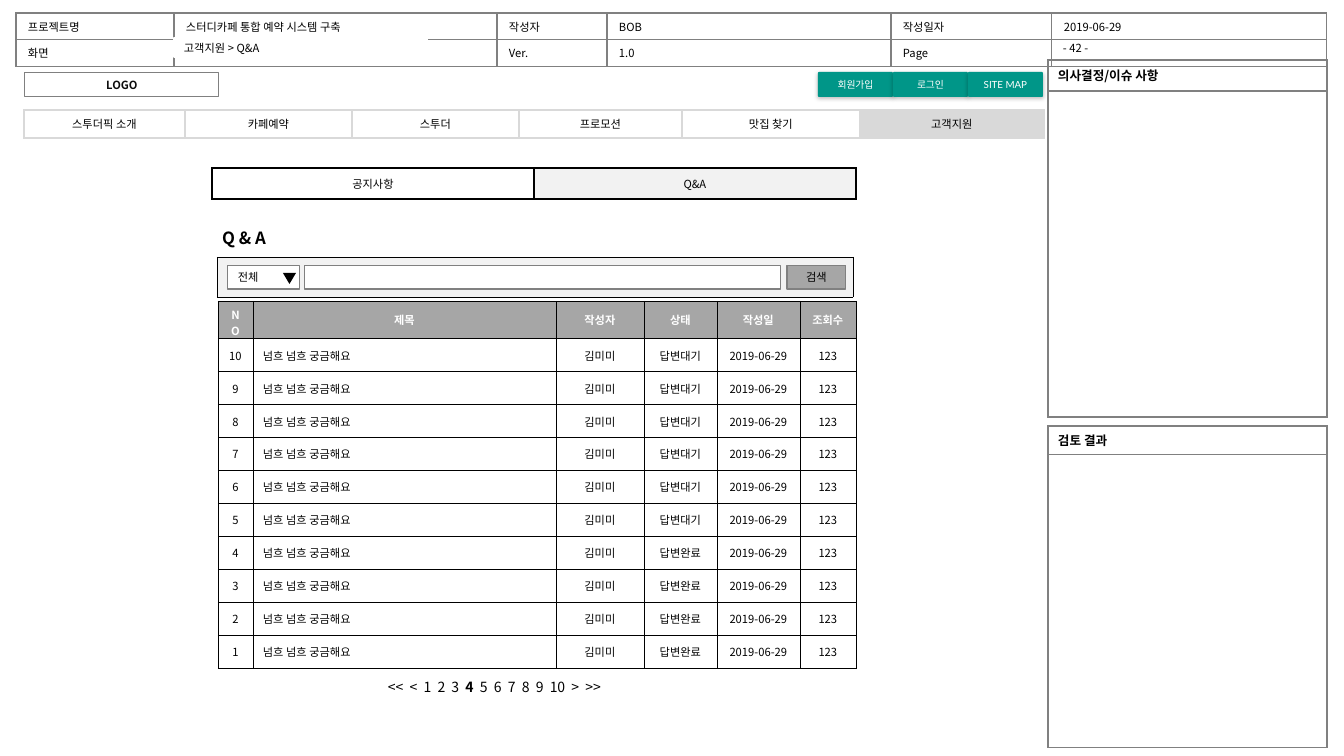
from lxml import etree
from pptx import Presentation
from pptx.dml.color import RGBColor
from pptx.enum.shapes import MSO_SHAPE
from pptx.enum.text import MSO_ANCHOR, MSO_AUTO_SIZE, PP_ALIGN
from pptx.oxml.ns import qn
from pptx.util import Pt

LEFT, CENTER = PP_ALIGN.LEFT, PP_ALIGN.CENTER
TOP, MIDDLE = MSO_ANCHOR.TOP, MSO_ANCHOR.MIDDLE
RECTANGLE, ROUNDED = MSO_SHAPE.RECTANGLE, MSO_SHAPE.ROUNDED_RECTANGLE
TRIANGLE = MSO_SHAPE.FLOWCHART_MERGE
PX = 914400 / 100.8
KOREAN, LATIN = "Noto Sans CJK KR", "Lato"
COLORS = {name: RGBColor.from_string(value) for name, value in {
    "black": "000000", "ink": "0D0D0D", "white": "FFFFFF", "border": "808080",
    "head": "A6A6A6", "active": "D9D9D9", "pale": "F2F2F2", "teal": "009688",
}.items()}


def format_paragraph(paragraph, size=8, color="black", bold=False, align=LEFT, font=KOREAN):
    paragraph.alignment = align
    paragraph.font.size = Pt(size)
    paragraph.font.bold = bold
    paragraph.font.color.rgb = COLORS[color]
    paragraph.font.name = font
    defaults = paragraph._p.pPr.find(qn("a:defRPr"))
    etree.SubElement(defaults, qn("a:ea"), typeface=font)
    if not paragraph.text:
        etree.SubElement(paragraph._p, qn("a:endParaRPr"), sz=str(size * 100))


def add_grid(left, top, widths, heights, rows, border, width, margin=10, anchor=MIDDLE):
    """Add a bordered table; each cell is (text, fill, paragraph format)."""
    frame = slide.shapes.add_table(
        len(heights), len(widths), round(left * PX), round(top * PX),
        round(sum(widths) * PX), round(sum(heights) * PX))
    table = frame.table
    for column, pixels in zip(table.columns, widths):
        column.width = round(pixels * PX)
    for row, pixels in zip(table.rows, heights):
        row.height = round(pixels * PX)
    for cell, (text, fill, style) in zip(table.iter_cells(), sum(rows, [])):
        cell.text = text
        cell.vertical_anchor = anchor
        cell.margin_left = cell.margin_right = round(margin * PX)
        cell.margin_top = cell.margin_bottom = round(5 * PX)
        format_paragraph(cell.text_frame.paragraphs[0], **style)
        properties = cell._tc.get_or_add_tcPr()
        for side in ("lnL", "lnR", "lnT", "lnB"):
            line = etree.SubElement(properties, qn(f"a:{side}"), w=str(Pt(width)))
            solid = etree.SubElement(line, qn("a:solidFill"))
            etree.SubElement(solid, qn("a:srgbClr"), val=str(COLORS[border]))
        if fill:
            cell.fill.solid()
            cell.fill.fore_color.rgb = COLORS[fill]
        else:
            cell.fill.background()
    return table


presentation = Presentation()
presentation.slide_width = round(1344 * PX)
presentation.slide_height = round(756 * PX)
slide = presentation.slides.add_slide(presentation.slide_layouts[5])

# Page heading
title = slide.shapes.title
title.left, title.top, title.width, title.height = [round(n * PX) for n in (212, 223, 73, 30)]
title.text_frame.text = "Q & A"
title.text_frame.auto_size = MSO_AUTO_SIZE.NONE
title.text_frame.word_wrap = False
title.text_frame.vertical_anchor = TOP
format_paragraph(title.text_frame.paragraphs[0], size=12, bold=True)

# Document header
header = [
    ["프로젝트명", "스터디카페 통합 예약 시스템 구축", "작성자", "BOB", "작성일자", "2019-06-29"],
    ["화면", "", "Ver.", "1.0", "Page", ""],
]
add_grid(16, 13, [158, 323, 110, 284, 161, 275], [26, 27],
         [[(text, None, {}) for text in row] for row in header],
         "border", 1, margin=12, anchor=TOP)

# Side panels
for top, heights, heading in [(60, [31, 326], "의사결정/이슈 사항"), (426, [28, 293], "검토 결과")]:
    add_grid(1048, top, [279], heights,
             [[(heading, None, {"size": 9, "bold": True})], [("", None, {})]], "border", 1)

# Site navigation and support tabs
centered = {"align": CENTER}
menu = ["스투더픽 소개", "카페예약", "스투더", "프로모션", "맛집 찾기"]
add_grid(24, 110, [161, 167, 167, 163, 178, 184], [28],
         [[(text, "white", centered) for text in menu] + [("고객지원", "active", centered)]],
         "active", 1, margin=12)
add_grid(212, 168, [322, 322], [31],
         [[("공지사항", "white", centered), ("Q&A", "pale", centered)]], "black", 1)

# Question board
head_style = {"color": "white", "bold": True, "align": CENTER}
board = [[(text, "head", head_style)
          for text in ["NO", "제목", "작성자", "상태", "작성일", "조회수"]]]
for number in range(10, 0, -1):
    status = "답변대기" if number > 4 else "답변완료"
    values = [str(number), "넘흐 넘흐 궁금해요", "김미미", status, "2019-06-29", "123"]
    board.append([(text, "white", {"align": LEFT if column == 1 else CENTER})
                  for column, text in enumerate(values)])
board_table = add_grid(218, 301, [35, 303, 88, 73, 83, 56], [37] + [33] * 10,
                       board, "black", 0.25)
board_table.cell(0, 0).margin_bottom = 0

# Search bar background
add_grid(217, 257, [636], [40], [[("", "pale", {})]], "black", 0.25)

# Buttons, fields and labels: kind, box, fill, line, line width, text, format
button_style = {"size": 7, "color": "white", "align": CENTER, "font": LATIN}
shapes = [
    (ROUNDED, (818 + 75 * index, 72, 75, 25), "teal", None, 0, text, button_style)
    for index, text in enumerate(["회원가입", "로그인", "SITE MAP"])
] + [
    (RECTANGLE, (25, 73, 194, 24), None, "border", 0.75, "LOGO",
     {"color": "ink", "bold": True, "align": CENTER}),
    (RECTANGLE, (228, 265, 72, 24), "white", "border", 0.75, "전체", {}),
    (TRIANGLE, (283, 273, 13, 11), "black", None, 0, "", {}),
    (RECTANGLE, (305, 265, 476, 24), "white", "border", 0.75, "", {}),
    (RECTANGLE, (787, 265, 59, 24), "head", "border", 0.75, "검색", centered),
    (RECTANGLE, (174, 38, 253, 19), "white", "white", 1, "고객지원 > Q&A", {}),
]
for kind, box, fill, line, width, text, style in shapes:
    shape = slide.shapes.add_shape(kind, *[round(n * PX) for n in box])
    shape.shadow.inherit = False
    if fill:
        shape.fill.solid()
        shape.fill.fore_color.rgb = COLORS[fill]
    else:
        shape.fill.background()
    if line:
        shape.line.color.rgb = COLORS[line]
        shape.line.width = Pt(width)
    else:
        shape.line.fill.background()
    if text:
        shape.text_frame.text = text
        shape.text_frame.vertical_anchor = MIDDLE
        format_paragraph(shape.text_frame.paragraphs[0], **style)
    if kind == ROUNDED:
        shape.adjustments[0] = 0.05
        shape.text_frame.margin_left = shape.text_frame.margin_right = round(8 * PX)
        effects = shape._element.spPr.find(qn("a:effectLst"))
        shadow = etree.SubElement(effects, qn("a:outerShdw"), blurRad=str(Pt(3)),
                                  dist=str(Pt(1)), dir="5400000")
        tone = etree.SubElement(shadow, qn("a:srgbClr"), val=str(COLORS["black"]))
        etree.SubElement(tone, qn("a:alpha"), val="25000")

# Page number and pager
pager = "<< < 1 2 3 4 5 6 7 8 9 10 > >>".split()
for box, size, words in [((1053, 36, 108, 24), 8, ["- 42 -"]), ((378, 674, 294, 27), 10, pager)]:
    label = slide.shapes.add_textbox(*[round(n * PX) for n in box])
    label.text_frame.word_wrap = True
    paragraph = label.text_frame.paragraphs[0]
    for index, word in enumerate(words):
        if index:
            gap = paragraph.add_run()
            gap.text = " "
            gap._r.get_or_add_rPr().set("spc", "220")
        run = paragraph.add_run()
        run.text = word
        if word == "4":
            run.font.bold = True
    format_paragraph(paragraph, size=size)

presentation.save("out.pptx")
